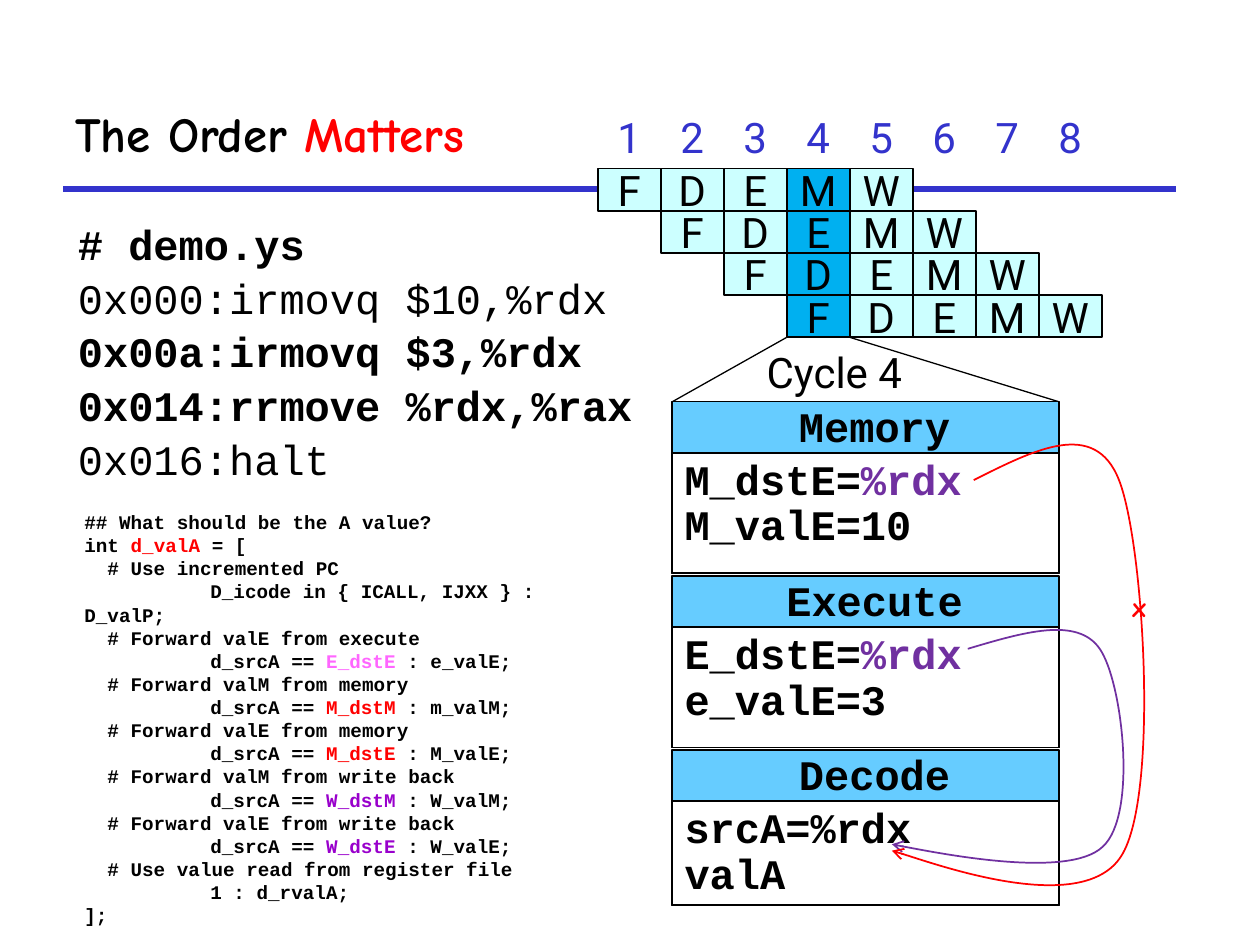
from lxml import etree
from pptx import Presentation
from pptx.dml.color import RGBColor
from pptx.enum import shapes, text
from pptx.oxml.ns import qn
from pptx.util import Cm, Pt

BLACK = RGBColor(0x00, 0x00, 0x00)
WHITE = RGBColor(0xFF, 0xFF, 0xFF)
RED = RGBColor(0xFF, 0x00, 0x00)
BLUE = RGBColor(0x33, 0x33, 0xCC)
SKY = RGBColor(0x66, 0xCC, 0xFF)
PALE = RGBColor(0xCC, 0xFF, 0xFF)
BRIGHT = RGBColor(0x00, 0xB0, 0xF0)
PURPLE = RGBColor(0x70, 0x30, 0xA0)
PINK = RGBColor(0xFF, 0x66, 0xFF)
VIOLET = RGBColor(0x99, 0x00, 0xCC)
COMIC, MONO, SANS = "Comic Neue", "Courier New", "Roboto"

# Content: a paragraph is a list of runs, a run is text or (text, colour)
TITLE = ["The Order ", ("Matters", RED)]
PROGRAM = [  # text, bold
    ("# demo.ys", True),
    ("0x000:irmovq $10,%rdx", False),
    ("0x00a:irmovq $3,%rdx", True),
    ("0x014:rrmove %rdx,%rax", True),
    ("0x016:halt", False),
]
FORWARDS = [  # value, stage, source, colour, result
    ("valE", "execute", "E_dstE", PINK, "e_valE"),
    ("valM", "memory", "M_dstM", RED, "m_valM"),
    ("valE", "memory", "M_dstE", RED, "M_valE"),
    ("valM", "write back", "W_dstM", VIOLET, "W_valM"),
    ("valE", "write back", "W_dstE", VIOLET, "W_valE"),
]
HCL = [
    ["## What should be the A value?"],
    ["int ", ("d_valA ", RED), "= ["],
    ["  # Use incremented PC"],
    ["\tD_icode in { ICALL, IJXX } : D_valP;"],
]
for value, stage, source, color, result in FORWARDS:
    HCL += [[f"  # Forward {value} from {stage}"],
            ["\td_srcA == ", (source, color), f" : {result};"]]
HCL += [["  # Use value read from register file"], ["\t1 : d_rvalA;"], ["];"]]

STAGES, CYCLES, INSTRUCTIONS, SHOWN_CYCLE = "FDEMW", 8, 4, 4
CARDS = [  # heading, lines, height
    ("Memory", [["M_dstE=", ("%rdx", PURPLE)], ["M_valE=10"]], 3.46),
    ("Execute", [["E_dstE=", ("%rdx", PURPLE)], ["e_valE=3"]], 3.46),
    ("Decode", [["srcA=%rdx"], ["valA"]], 3.13),
]
ARROWS = [  # colour, box, start, Bézier segments
    (PURPLE, (17.98, 12.7, 4.65, 4.65), (19.51, 13.08), [
        [(20.62, 12.75), (21.72, 12.42), (22.17, 13.08)],
        [(22.63, 13.74), (22.94, 16.43), (22.23, 17.07)],
        [(21.54, 17.73), (17.93, 17.02), (17.98, 17.02)]]),
    (RED, (17.98, 8.97, 5.08, 8.81), (19.63, 9.68), [
        [(20.85, 9.07), (22.07, 8.43), (22.56, 9.68)],
        [(23.06, 10.95), (23.37, 16.03), (22.61, 17.25)],
        [(21.84, 18.49), (17.93, 17.12), (17.98, 17.15)]]),
]


def write(tf, paras, font=MONO, size=24, color=BLACK, bold=False, align="LEFT",
          anchor="TOP", spacing=None, before=0, hang=0, tab=0,
          inset=(0.25, 0.13), wrap=True):
    """Fill a text frame; bold may be one value or one per paragraph."""
    tf.auto_size = text.MSO_AUTO_SIZE.NONE
    tf.word_wrap = wrap
    tf.vertical_anchor = getattr(text.MSO_ANCHOR, anchor)
    tf.margin_left = tf.margin_right = Cm(inset[0])
    tf.margin_top = tf.margin_bottom = Cm(inset[1])
    for i, runs in enumerate(paras):
        p = tf.add_paragraph() if i else tf.paragraphs[0]
        pPr = p._p.get_or_add_pPr()
        if hang:
            pPr.set("marL", str(Cm(hang)))
            pPr.set("indent", str(-Cm(hang)))
        if tab:
            tabs = etree.SubElement(pPr, qn("a:tabLst"))
            etree.SubElement(tabs, qn("a:tab"), pos=str(Cm(tab)), algn="l")
        p.alignment = getattr(text.PP_ALIGN, align)
        if spacing:
            p.line_spacing = spacing
        if before and i:
            p.space_before = Pt(before)
        for run in runs:
            content, run_color = (run, color) if isinstance(run, str) else run
            r = p.add_run()
            r.text = content
            r.font.name, r.font.size = font, Pt(size)
            r.font.bold = bold[i] if isinstance(bold, list) else bold
            r.font.color.rgb = run_color


def add_text(s, box, paras, **fmt):
    write(s.shapes.add_textbox(*map(Cm, box)).text_frame, paras, **fmt)


def add_rect(s, box, fill, line=None):
    sp = s.shapes.add_shape(shapes.MSO_SHAPE.RECTANGLE, *map(Cm, box))
    sp.shadow.inherit = False
    sp.fill.solid()
    sp.fill.fore_color.rgb = fill
    if line:
        sp.line.color.rgb, sp.line.width = BLACK, Pt(line)
    else:
        sp.line.fill.background()
    return sp


def add_line(s, ends, color, width):
    c = s.shapes.add_connector(shapes.MSO_CONNECTOR.STRAIGHT, *map(Cm, ends))
    c.line.color.rgb, c.line.width = color, Pt(width)
    etree.SubElement(c._element.spPr, qn("a:effectLst"))


def add_curve(s, color, box, start, segments):
    left, top, width, height = box
    fb = s.shapes.build_freeform(Cm(left), Cm(top))
    fb.add_line_segments([(Cm(left + width), Cm(top + height))], close=False)
    sp = fb.convert_to_shape()
    sp.shadow.inherit = False
    sp.fill.background()
    sp.line.color.rgb, sp.line.width = color, Pt(1)
    etree.SubElement(sp.line._get_or_add_ln(), qn("a:tailEnd"), type="arrow")
    # Swap the straight path for cubic curves
    path = sp._element.find(".//" + qn("a:path"))
    for child in list(path):
        path.remove(child)
    for tag, points in [("a:moveTo", [start])] + [("a:cubicBezTo", c) for c in segments]:
        step = etree.SubElement(path, qn(tag))
        for x, y in points:
            etree.SubElement(step, qn("a:pt"), x=str(Cm(x - left)), y=str(Cm(y - top)))


def main():
    prs = Presentation()
    prs.slide_width, prs.slide_height = Cm(25.4), Cm(19.05)
    s = prs.slides.add_slide(prs.slide_layouts[5])

    # Title and rule
    add_line(s, (1.27, 3.81, 23.7, 3.81), BLUE, 3)
    title = s.shapes.title
    title.left, title.top, title.width, title.height = map(Cm, (1.27, 1.6, 10.77, 2.16))
    write(title.text_frame, [TITLE], font=COMIC, size=28, bold=True, anchor="MIDDLE")

    # Program and selection logic
    add_text(s, (1.32, 4.39, 12.5, 9.93), [[line] for line, _ in PROGRAM],
             bold=[b for _, b in PROGRAM], spacing=0.9, before=4.8, hang=0.97)
    add_text(s, (1.57, 10.16, 10.85, 8.26), HCL, size=11, bold=True, tab=2.54,
             inset=(0.13, 0.13))

    # Pipeline diagram: each instruction starts one cycle later
    left, top, cell_w, cell_h = 12.05, 3.4, 1.27, 0.85
    cell = dict(font=SANS, align="CENTER", anchor="MIDDLE", wrap=False)
    for i in range(CYCLES):
        sp = add_rect(s, (left + i * cell_w, 2.34, cell_w, cell_h), WHITE)
        write(sp.text_frame, [[str(i + 1)]], color=BLUE, **cell)
    for row in range(INSTRUCTIONS):
        for col, stage in enumerate(STAGES, row):
            fill = BRIGHT if col + 1 == SHOWN_CYCLE else PALE
            sp = add_rect(s, (left + col * cell_w, top + row * cell_h, cell_w, cell_h), fill, 1)
            write(sp.text_frame, [[stage]], **cell)

    # Zoom from the shown cycle to the stage cards
    card_x, card_y, card_w, pitch, head_h = 13.55, 8.1, 7.8, 3.51, 1.03
    zoom_x, zoom_y = left + (SHOWN_CYCLE - 1) * cell_w, top + INSTRUCTIONS * cell_h
    add_line(s, (zoom_x, zoom_y, card_x, card_y), BLACK, 0.75)
    add_line(s, (zoom_x + cell_w, zoom_y, card_x + card_w, card_y), BLACK, 0.75)
    label = dict(align="CENTER", spacing=0.9, inset=(0, 0), wrap=False)
    add_text(s, (15.4, 7.11, 2.84, 0.91), [["Cycle 4"]], font=SANS, **label)
    for i, (heading, lines, height) in enumerate(CARDS):
        y = card_y + i * pitch
        add_rect(s, (card_x, y, card_w, height), SKY, 0.75)
        add_text(s, (card_x + 0.18, y + 0.08, card_w, 0.94), [[heading]], bold=True, **label)
        body = add_rect(s, (card_x, y + head_h, card_w, height - head_h), WHITE, 1)
        write(body.text_frame, lines, bold=True, spacing=0.9, hang=0.97)

    # Forwarding arrows and the cross on the rejected one
    for arrow in ARROWS:
        add_curve(s, *arrow)
    add_text(s, (22.58, 11.76, 0.86, 0.94), [["x"]], font=COMIC, size=16,
             color=RED, bold=True, wrap=False)

    prs.save("out.pptx")


if __name__ == "__main__":
    main()
